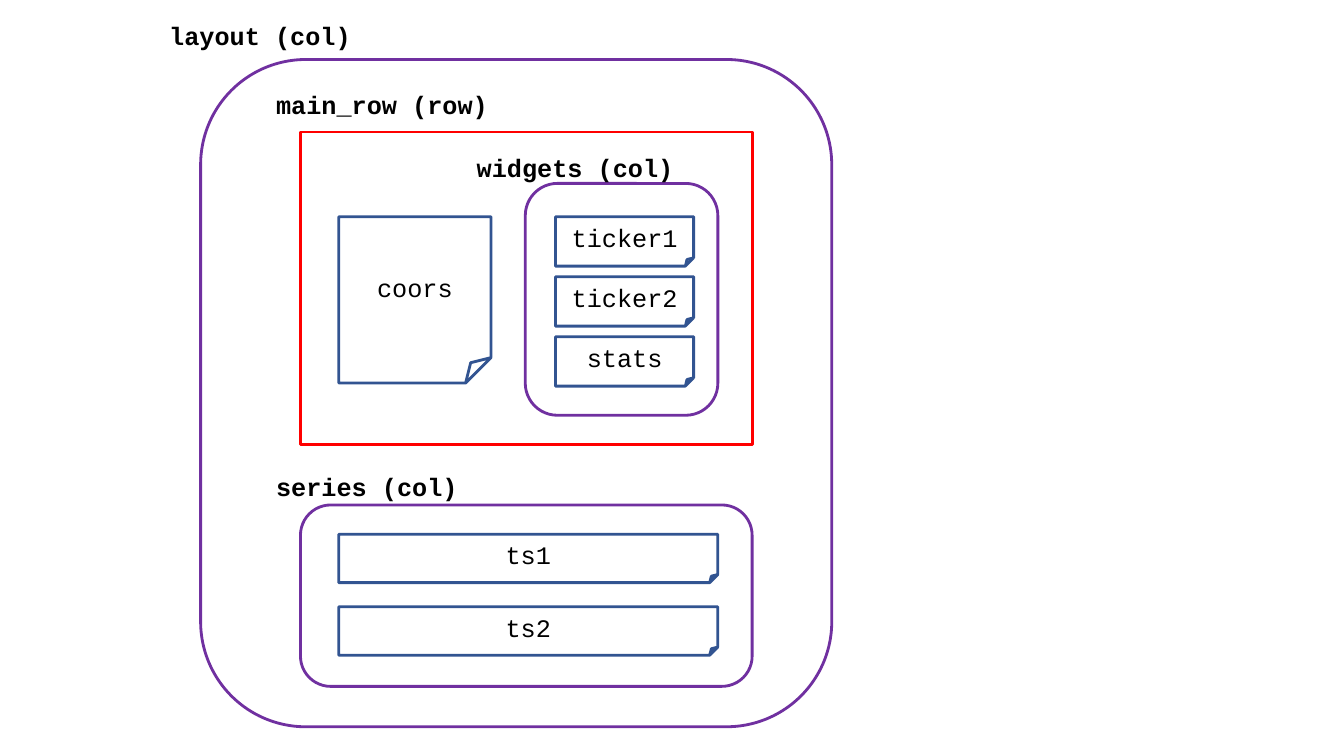
from dataclasses import dataclass

from pptx import Presentation
from pptx.dml.color import RGBColor
from pptx.enum.shapes import MSO_SHAPE as Shape
from pptx.enum.text import MSO_ANCHOR as Anchor, PP_ALIGN as Align
from pptx.util import Inches, Pt

CELL = 0.1
FONT = "Courier New"
WHITE, BLACK = "FFFFFF", "000000"
PURPLE, RED, BLUE = "7030A0", "FF0000", "325491"


@dataclass
class Box:
    left: float
    top: float
    width: float
    height: float

    def inside(self, column, row, width, height):
        return Box(self.left + column, self.top + row, width, height)

    def lengths(self):
        return [Inches(CELL * cells) for cells in (self.left, self.top, self.width, self.height)]


def color(value):
    return RGBColor.from_string(value)


def write(frame, text, bold=False, align=Align.LEFT):
    frame.word_wrap = True
    para = frame.paragraphs[0]
    para.alignment = align
    span = para.add_run()
    span.text = text
    span.font.name = FONT
    span.font.size = Pt(18)
    span.font.bold = bold
    span.font.color.rgb = color(BLACK)


def add_outline(page, box, kind, line, fill=None):
    shape = page.shapes.add_shape(kind, *box.lengths())
    shape.shadow.inherit = False
    if fill:
        shape.fill.solid()
        shape.fill.fore_color.rgb = color(fill)
    else:
        shape.fill.background()
    shape.line.color.rgb = color(line)
    shape.line.width = Pt(2)
    return shape


def add_frame(page, box, line=PURPLE, rounding=None):
    frame = add_outline(page, box, Shape.ROUNDED_RECTANGLE, line, WHITE)
    if rounding is not None:
        frame.adjustments[0] = rounding


def add_label(page, box, text):
    label = page.shapes.add_textbox(*box.lengths())
    write(label.text_frame, text, bold=True)


def add_note(page, box, text):
    note = add_outline(page, box, Shape.FOLDED_CORNER, BLUE)
    note.text_frame.vertical_anchor = Anchor.MIDDLE
    write(note.text_frame, text, align=Align.CENTER)


def add_stack(page, first, step, names):
    for index, name in enumerate(names):
        add_note(page, first.inside(0, index * step, first.width, first.height), name)


def draw_widgets(page, box):
    add_frame(page, box)
    add_label(page, box.inside(-5.8, -3.6, 22.6, 4), "widgets (col)")
    add_stack(page, box.inside(3, 3.3, 13.7, 4.9), 5.95, ["ticker1", "ticker2", "stats"])


def draw_main_row(page, box):
    add_frame(page, box, RED, rounding=0)
    add_label(page, box.inside(-3.4, -4.7, 25.7, 4), "main_row (row)")
    add_note(page, box.inside(3.8, 8.4, 15.1, 16.5), "coors")
    draw_widgets(page, box.inside(22.3, 5.1, 19.1, 23))


def draw_series(page, box):
    add_frame(page, box)
    add_label(page, box.inside(-3.4, -3.8, 22.3, 4), "series (col)")
    add_stack(page, box.inside(3.8, 2.9, 37.6, 4.8), 7.2, ["ts1", "ts2"])


def draw_layout(page, box):
    add_frame(page, box)
    add_label(page, box.inside(-4.1, -4.4, 20.8, 4), "layout (col)")
    draw_main_row(page, box.inside(9.9, 7.2, 44.8, 31))
    draw_series(page, box.inside(9.9, 44.2, 44.8, 18))


deck = Presentation()
deck.slide_width, deck.slide_height = Inches(13.33), Inches(7.5)
page = deck.slides.add_slide(deck.slide_layouts[6])
draw_layout(page, Box(19.9, 5.9, 62.6, 66.2))
deck.save("out.pptx")
